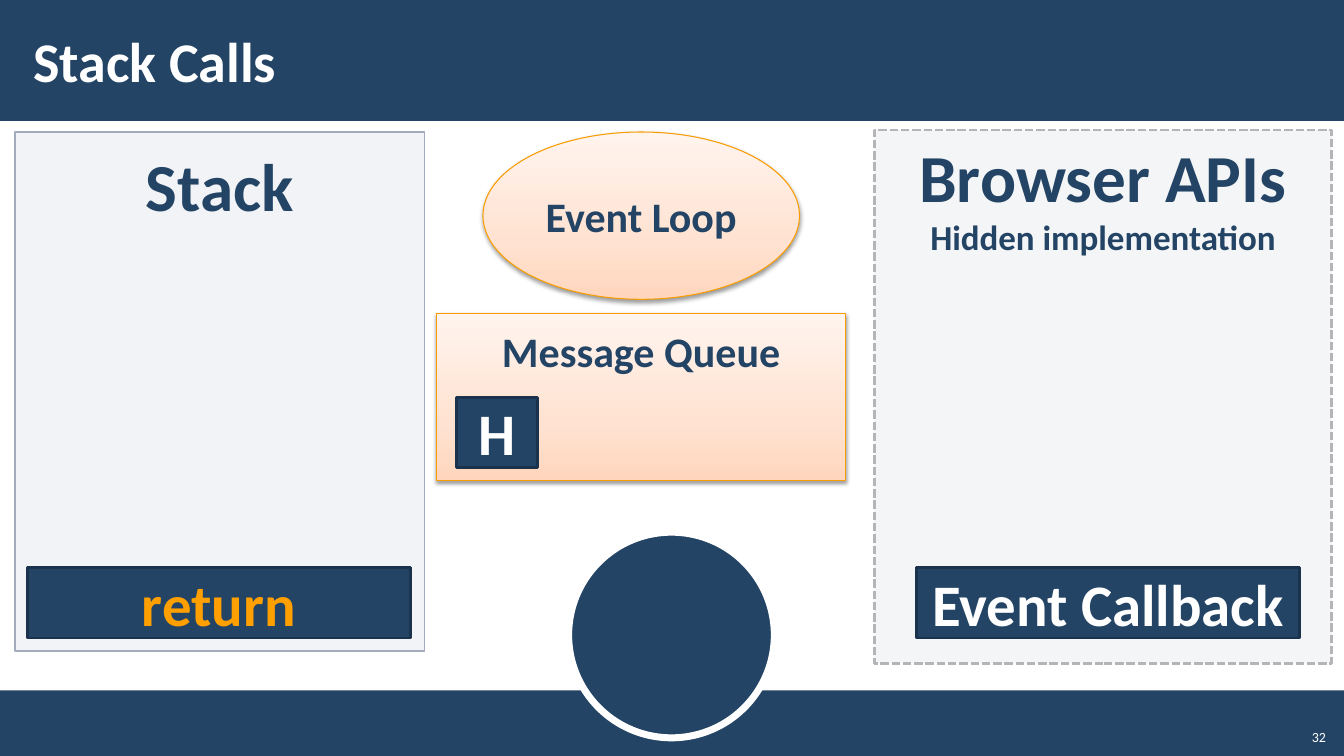
from pptx import Presentation
from pptx.dml.color import RGBColor
from pptx.enum.dml import MSO_LINE
from pptx.enum.shapes import MSO_SHAPE
from pptx.enum.text import MSO_ANCHOR, PP_ALIGN
from pptx.oxml import parse_xml
from pptx.oxml.ns import nsdecls, qn
from pptx.util import Emu, Pt
from lxml import etree

PX = 9144  # EMU in one px, 100 px to the inch
SLIDE_WIDTH, SLIDE_HEIGHT = 1333, 750

NAVY = RGBColor(0x23, 0x44, 0x65)
DARK_NAVY = RGBColor(0x1A, 0x32, 0x4B)
WHITE = RGBColor(0xFF, 0xFF, 0xFF)
AMBER = RGBColor(0xFF, 0xA0, 0x00)
ORANGE = RGBColor(0xF9, 0x9C, 0x00)
STACK_FILL = RGBColor(0xC2, 0xC7, 0xD2)
STACK_LINE = RGBColor(0xA3, 0xAB, 0xBC)
BROWSER_FILL = RGBColor(0xF4, 0xF5, 0xF7)
BROWSER_LINE = RGBColor(0xB5, 0xB5, 0xB7)
PEACH_STOPS = ((0, RGBColor(0xFF, 0xD6, 0xBD)),
               (35, RGBColor(0xFF, 0xE2, 0xD1)),
               (100, RGBColor(0xFF, 0xF4, 0xEE)))

RECTANGLE, ELLIPSE = MSO_SHAPE.RECTANGLE, MSO_SHAPE.OVAL
TOP, MIDDLE, BOTTOM = MSO_ANCHOR.TOP, MSO_ANCHOR.MIDDLE, MSO_ANCHOR.BOTTOM
LEFT, CENTER, RIGHT = PP_ALIGN.LEFT, PP_ALIGN.CENTER, PP_ALIGN.RIGHT
DASHED = MSO_LINE.SQUARE_DOT

DEFAULT_INSETS = (10, 5)
PANEL_INSETS = (16, 12)


def to_emu(box):
    return [Emu(length * PX) for length in box]


def write_text(shape, lines, color, anchor=MIDDLE, align=CENTER,
               insets=DEFAULT_INSETS, bold=True):
    """Fill a shape with paragraphs given as (text, point size) pairs."""
    frame = shape.text_frame
    horizontal, vertical = to_emu(insets)
    frame_format = {
        "word_wrap": True, "vertical_anchor": anchor,
        "margin_left": horizontal, "margin_right": horizontal,
        "margin_top": vertical, "margin_bottom": vertical,
    }
    for name, value in frame_format.items():
        setattr(frame, name, value)
    for index, (text, size) in enumerate(lines):
        paragraph = frame.add_paragraph() if index else frame.paragraphs[0]
        paragraph.alignment = align
        run = paragraph.add_run()
        run.text = text
        font_format = {"name": "Calibri", "size": Pt(size), "bold": bold}
        for name, value in font_format.items():
            setattr(run.font, name, value)
        run.font.color.rgb = color


def add_plain_shape(slide, kind, box, fill, line=None, line_width=1):
    shape = slide.shapes.add_shape(kind, *to_emu(box))
    shape.shadow.inherit = False
    shape.fill.solid()
    shape.fill.fore_color.rgb = fill
    if line is None:
        shape.line.fill.background()
    else:
        shape.line.color.rgb = line
        shape.line.width = Pt(line_width)
    return shape


def add_text_box(slide, box, text, size, **text_format):
    text_box = slide.shapes.add_textbox(*to_emu(box))
    write_text(text_box, [(text, size)], WHITE, **text_format)


def add_glowing_shape(slide, kind, box, text, **text_format):
    """Add a peach gradient shape with an orange line and a soft shadow."""
    shape = add_plain_shape(slide, kind, box, WHITE, ORANGE, 0.75)
    shape.fill.gradient()
    shape.fill.gradient_angle = 90
    properties = shape._element.spPr
    stop_list = properties.find(qn("a:gradFill")).find(qn("a:gsLst"))
    for stop in list(stop_list):
        stop_list.remove(stop)
    for position, color in PEACH_STOPS:
        stop = etree.SubElement(stop_list, qn("a:gs"), pos=str(position * 1000))
        etree.SubElement(stop, qn("a:srgbClr"), val=str(color))
    properties.find(qn("a:effectLst")).append(parse_xml(
        f'<a:outerShdw {nsdecls("a")} blurRad="{Pt(3.1)}" dist="{Pt(1.6)}" '
        'dir="5400000" rotWithShape="0"><a:srgbClr val="000000">'
        '<a:alpha val="38000"/></a:srgbClr></a:outerShdw>'))
    write_text(shape, [(text, 30)], NAVY, **text_format)


def add_call(slide, box, text, color=WHITE):
    call = add_plain_shape(slide, RECTANGLE, box, NAVY, DARK_NAVY, 2)
    write_text(call, [(text, 42)], color)


def add_frame(slide, title, number):
    """Add the header, the footer with its disc, the title and the number."""
    footer_top, disc = 685, 204
    add_plain_shape(slide, RECTANGLE,
                    (0, footer_top, SLIDE_WIDTH, SLIDE_HEIGHT - footer_top), NAVY)
    add_plain_shape(slide, ELLIPSE, (564, 528, disc, disc), NAVY, WHITE, 5)
    add_plain_shape(slide, RECTANGLE, (0, 0, SLIDE_WIDTH, 120), NAVY)
    add_text_box(slide, (21, 11, 1063, 97), title, 40, align=LEFT, insets=(12, 4))
    add_text_box(slide, (1285, 712, 40, 32), number, 10,
                 anchor=BOTTOM, align=RIGHT, bold=False)


def add_stack(slide, box):
    left, top, width, height = box
    panel = add_plain_shape(slide, RECTANGLE, box, STACK_FILL, STACK_LINE)
    fill_color = panel._element.spPr.find(qn("a:solidFill"))[0]
    etree.SubElement(fill_color, qn("a:alpha"), val="20000")
    write_text(panel, [("Stack", 48)], NAVY, anchor=TOP, insets=PANEL_INSETS)
    add_call(slide, (left + 12, top + 432, 380, 70), "return", AMBER)


def add_browser(slide, box):
    left, top, width, height = box
    panel = add_plain_shape(slide, RECTANGLE, box, BROWSER_FILL, BROWSER_LINE, 2)
    panel.line.dash_style = DASHED
    write_text(panel, [("Browser APIs", 48), ("Hidden implementation", 25)],
               NAVY, anchor=TOP)
    add_call(slide, (left + 42, top + 434, 380, 70), "Event Callback")


def add_event_loop(slide, box):
    """Add the loop ellipse and, below it, the message queue."""
    left, top, width, height = box
    loop_width, part_height = 314, 166
    add_glowing_shape(slide, ELLIPSE,
                      (left + (width - loop_width) // 2, top, loop_width, part_height),
                      "Event Loop")
    queue_top = top + height - part_height
    add_glowing_shape(slide, RECTANGLE, (left, queue_top, width, part_height),
                      "Message Queue", anchor=TOP, insets=PANEL_INSETS)
    add_call(slide, (left + 20, queue_top + 83, 80, 70), "H")


def main():
    presentation = Presentation()
    presentation.slide_width, presentation.slide_height = to_emu(
        (SLIDE_WIDTH, SLIDE_HEIGHT))
    slide = presentation.slides.add_slide(presentation.slide_layouts[6])
    add_frame(slide, "Stack Calls", "32")
    add_stack(slide, (15, 131, 406, 515))
    add_event_loop(slide, (433, 131, 406, 346))
    add_browser(slide, (867, 129, 454, 529))
    presentation.save("out.pptx")


if __name__ == "__main__":
    main()
